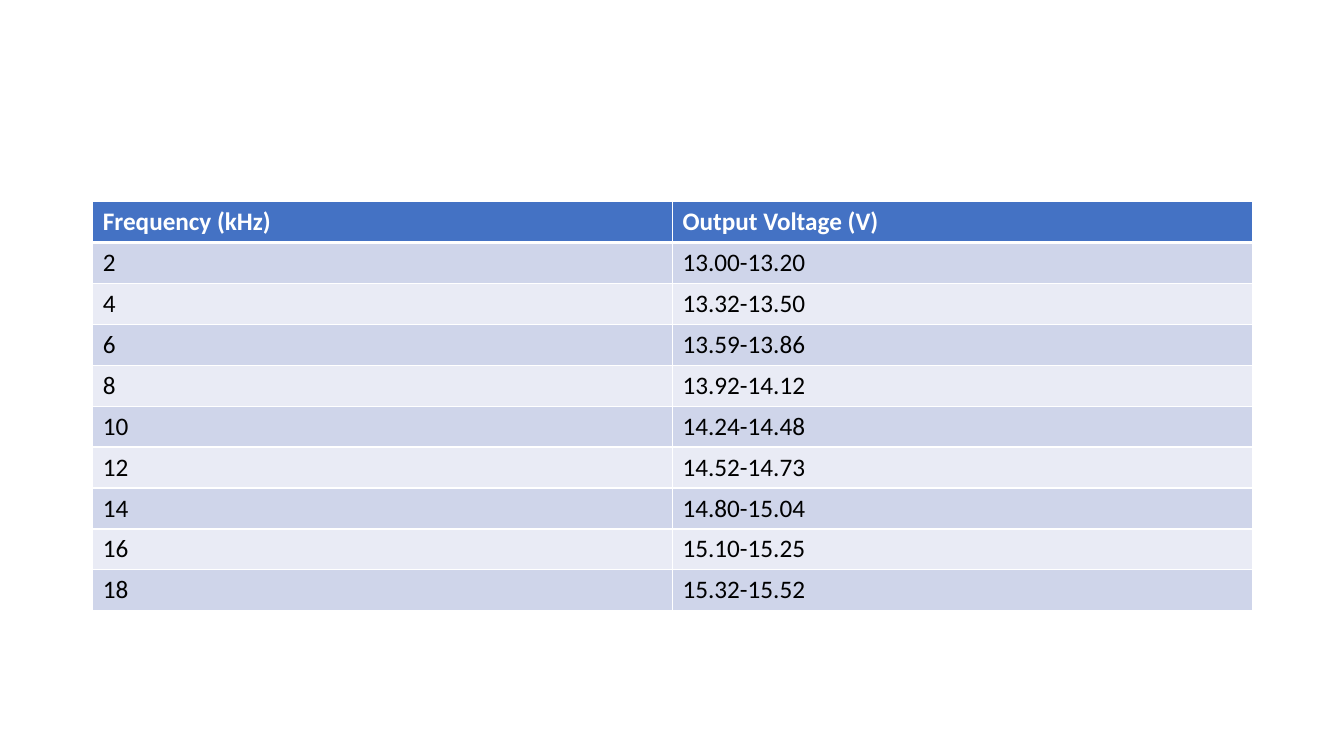
import dataclasses

import lxml.etree
import pptx
import pptx.dml.color
import pptx.enum.text
import pptx.oxml.ns
import pptx.table
import pptx.util

Inches = pptx.util.Inches
RGBColor = pptx.dml.color.RGBColor

WHITE = RGBColor(0xFF, 0xFF, 0xFF)
BLACK = RGBColor(0x00, 0x00, 0x00)
HEADING_BLUE = RGBColor(0x44, 0x72, 0xC4)
BAND_DARK = RGBColor(0xCF, 0xD5, 0xEA)
BAND_LIGHT = RGBColor(0xE9, 0xEB, 0xF5)

THIN_RULE, HEADING_RULE = 1, 3


@dataclasses.dataclass(frozen=True)
class Reading:
    frequency: str
    voltage: str


@dataclasses.dataclass(frozen=True)
class RowStyle:
    fill: RGBColor
    color: RGBColor = BLACK
    bold: bool = False
    top: int = THIN_RULE
    bottom: int = THIN_RULE


HEADING = Reading("Frequency (kHz)", "Output Voltage (V)")
READINGS = [
    Reading("2", "13.00-13.20"),
    Reading("4", "13.32-13.50"),
    Reading("6", "13.59-13.86"),
    Reading("8", "13.92-14.12"),
    Reading("10", "14.24-14.48"),
    Reading("12", "14.52-14.73"),
    Reading("14", "14.80-15.04"),
    Reading("16", "15.10-15.25"),
    Reading("18", "15.32-15.52"),
]


def row_style(index: int) -> RowStyle:
    if index == 0:
        return RowStyle(HEADING_BLUE, WHITE, bold=True, bottom=HEADING_RULE)
    return RowStyle(
        BAND_DARK if index % 2 else BAND_LIGHT,
        top=HEADING_RULE if index == 1 else THIN_RULE,
    )


def write_text(frame, text: str, *, color: RGBColor, bold: bool = False,
               size: int = 18, font: str = "Calibri") -> None:
    run = frame.paragraphs[0].add_run()
    run.text = text
    run.font.name = font
    run.font.size = pptx.util.Pt(size)
    run.font.bold = bold
    run.font.color.rgb = color


def set_borders(cell: pptx.table._Cell, style: RowStyle) -> None:
    qn = pptx.oxml.ns.qn
    properties = cell._tc.get_or_add_tcPr()
    widths = {"a:lnL": THIN_RULE, "a:lnR": THIN_RULE,
              "a:lnT": style.top, "a:lnB": style.bottom}
    # Border lines come before the fill in the cell properties
    for position, (side, width) in enumerate(widths.items()):
        line = lxml.etree.Element(qn(side), w=str(pptx.util.Pt(width)))
        fill = lxml.etree.SubElement(line, qn("a:solidFill"))
        lxml.etree.SubElement(fill, qn("a:srgbClr"), val=str(WHITE))
        properties.insert(position, line)


def draw_cell(cell: pptx.table._Cell, text: str, style: RowStyle) -> None:
    cell.fill.solid()
    cell.fill.fore_color.rgb = style.fill
    set_borders(cell, style)
    write_text(cell.text_frame, text, color=style.color, bold=style.bold)


def draw_readings(slide) -> None:
    rows = [HEADING, *READINGS]
    table = slide.shapes.add_table(
        len(rows), 2, Inches(0.92), Inches(2), Inches(11.5), Inches(4.06)
    ).table
    for index, reading in enumerate(rows):
        for column, text in enumerate(dataclasses.astuple(reading)):
            draw_cell(table.cell(index, column), text, row_style(index))


def main() -> None:
    # Slide
    presentation = pptx.Presentation()
    presentation.slide_width = Inches(13.33)
    presentation.slide_height = Inches(7.5)
    slide = presentation.slides.add_slide(presentation.slide_layouts[6])

    # Voltage by frequency
    draw_readings(slide)
    presentation.save("out.pptx")


if __name__ == "__main__":
    main()
